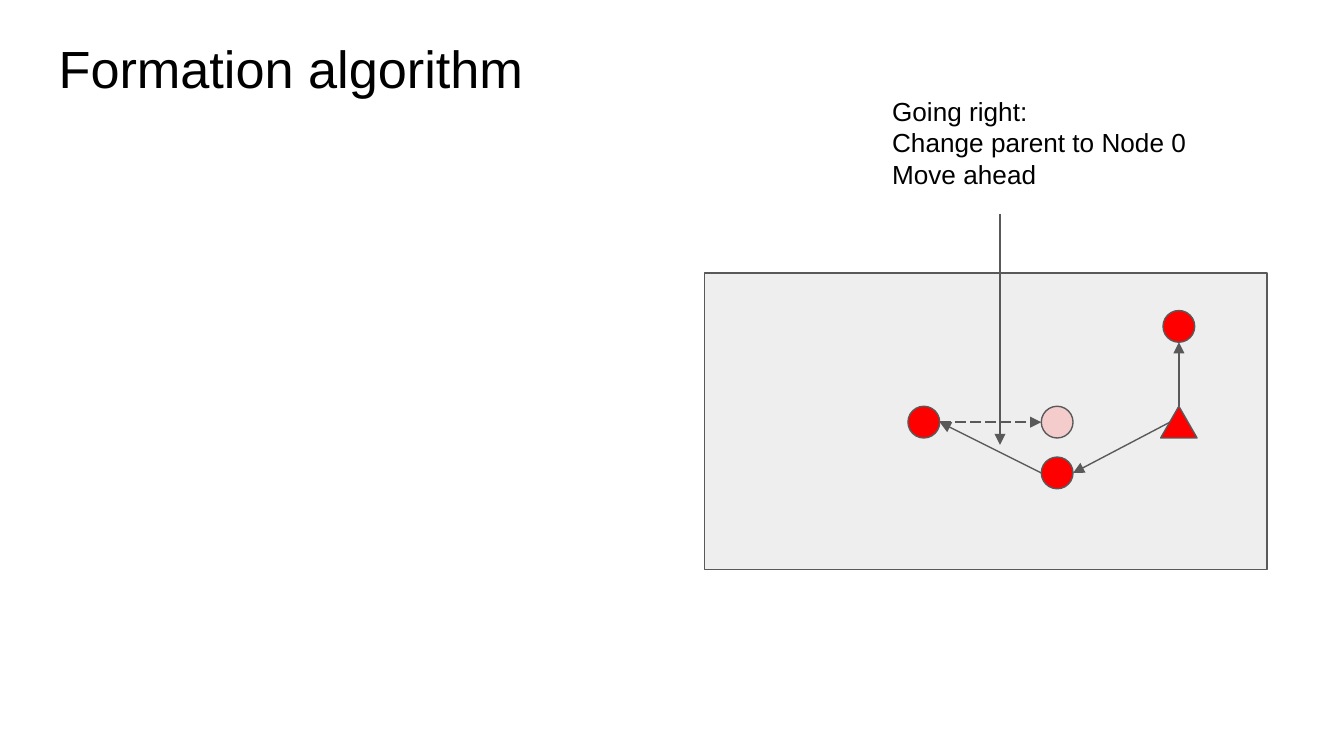
"""Build the slide on the formation algorithm."""
import dataclasses

import pptx
import pptx.dml.color
import pptx.enum.dml
import pptx.enum.shapes
import pptx.enum.text
import pptx.oxml
import pptx.util

Cm = pptx.util.Cm
Pt = pptx.util.Pt
Kind = pptx.enum.shapes.MSO_SHAPE
Dash = pptx.enum.dml.MSO_LINE


@dataclasses.dataclass(frozen=True)
class Theme:
    font: str = "Arial"
    ink: str = "000000"
    line: str = "595959"
    panel: str = "EEEEEE"
    node: str = "FF0000"
    ghost: str = "F4CCCC"
    head: int = 28
    body: int = 14
    width: float = 0.75


class Deck:
    def __init__(self, theme):
        self.theme = theme
        self.show = pptx.Presentation()
        self.show.slide_width = Cm(25.4)
        self.show.slide_height = Cm(14.29)
        self.slide = self.show.slides.add_slide(self.show.slide_layouts[6])

    def color(self, name):
        return pptx.dml.color.RGBColor.from_string(name)

    def stroke(self, line):
        line.color.rgb = self.color(self.theme.line)
        line.width = Pt(self.theme.width)

    def text(self, left, top, width, height, size, lines):
        box = self.slide.shapes.add_textbox(Cm(left), Cm(top), Cm(width), Cm(height))
        frame = box.text_frame
        frame.word_wrap = True
        frame.vertical_anchor = pptx.enum.text.MSO_ANCHOR.TOP
        frame.margin_left = frame.margin_right = Cm(0.25)
        frame.margin_top = frame.margin_bottom = Cm(0.25)
        for rank, words in enumerate(lines):
            para = frame.add_paragraph() if rank else frame.paragraphs[0]
            run = para.add_run()
            run.text = words
            run.font.name = self.theme.font
            run.font.size = Pt(size)
            run.font.color.rgb = self.color(self.theme.ink)

    def shape(self, kind, left, top, width, height, fill):
        shape = self.slide.shapes.add_shape(kind, Cm(left), Cm(top), Cm(width), Cm(height))
        shape.shadow.inherit = False
        shape.fill.solid()
        shape.fill.fore_color.rgb = self.color(fill)
        self.stroke(shape.line)

    def node(self, x, y, fill, kind=Kind.OVAL, width=0.6, height=0.6):
        self.shape(kind, x - width / 2, y - height / 2, width, height, fill)

    def arrow(self, start, end, dash=None):
        ends = [Cm(length) for length in (*start, *end)]
        link = self.slide.shapes.add_connector(pptx.enum.shapes.MSO_CONNECTOR.STRAIGHT, *ends)
        self.stroke(link.line)
        if dash:
            link.line.dash_style = dash
        props = link._element.spPr
        tip = pptx.oxml.ns.qn("a:tailEnd")
        link.line._get_or_add_ln().makeelement(tip)
        pptx.oxml.xmlchemy.OxmlElement
        tail = pptx.oxml.xmlchemy.OxmlElement("a:tailEnd")
        tail.set("type", "triangle")
        link.line._get_or_add_ln().append(tail)
        props.append(pptx.oxml.xmlchemy.OxmlElement("a:effectLst"))


def main():
    theme = Theme()
    deck = Deck(theme)
    left, mid, right = 17.46, 19.98, 22.28
    high, row, low = 6.17, 7.98, 8.94
    rad = 0.3

    deck.shape(Kind.RECTANGLE, 13.31, 5.16, 10.64, 5.61, theme.panel)
    deck.text(0.86, 0.43, 23.67, 1.6, theme.head, ["Formation algorithm"])
    deck.node(right, row, theme.node, Kind.ISOSCELES_TRIANGLE, 0.69)
    deck.node(right, high, theme.node)
    deck.node(mid, low, theme.node)
    deck.arrow((right, row - rad), (right, high + rad))
    deck.arrow((right - 0.17, row), (mid + rad, low))
    deck.arrow((18.9, 4.04), (18.9, 8.41))
    deck.arrow((left + rad, row), (mid - rad, row), Dash.LONG_DASH)
    deck.node(mid, row, theme.ghost)
    deck.node(left, row, theme.node)
    deck.arrow((mid - rad, low), (left + rad, row))
    deck.text(16.61, 1.55, 6.3, 1.6, theme.body,
              ["Going right:", "Change parent to Node 0", "Move ahead"])
    deck.show.save("out.pptx")


if __name__ == "__main__":
    main()
